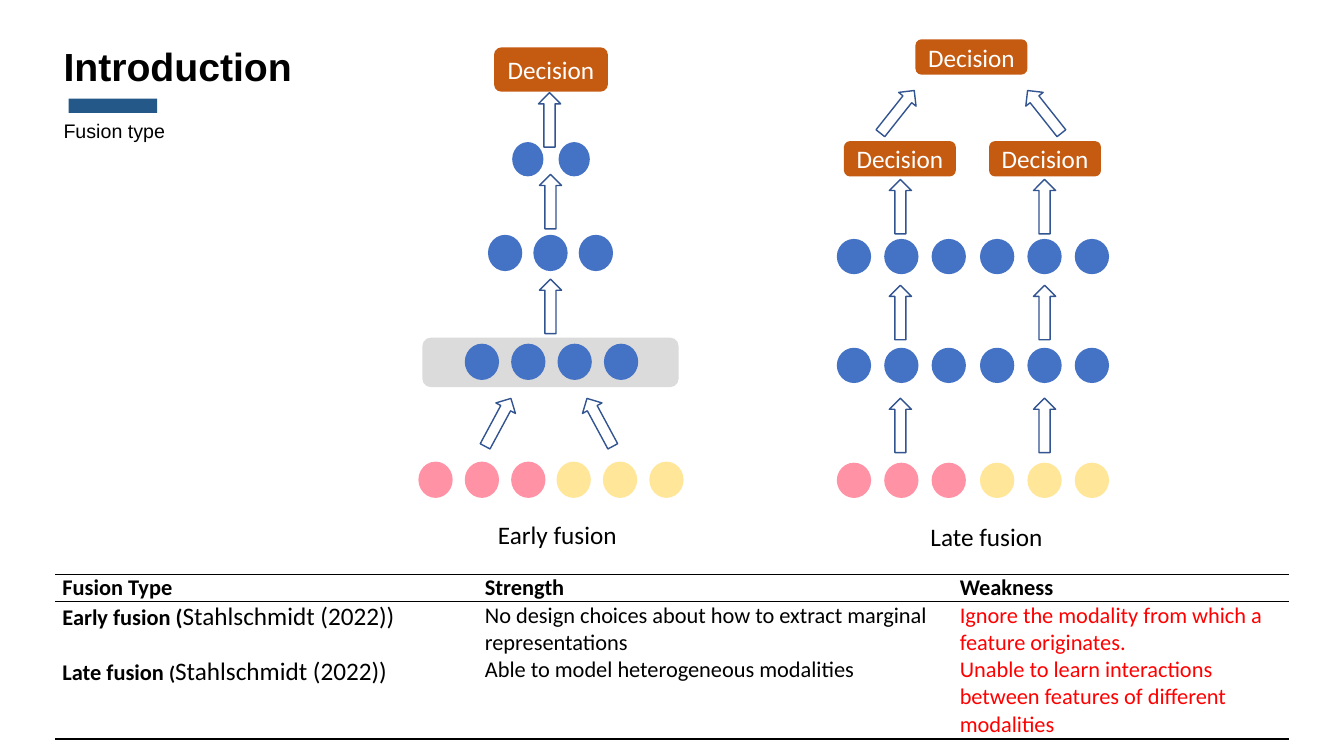
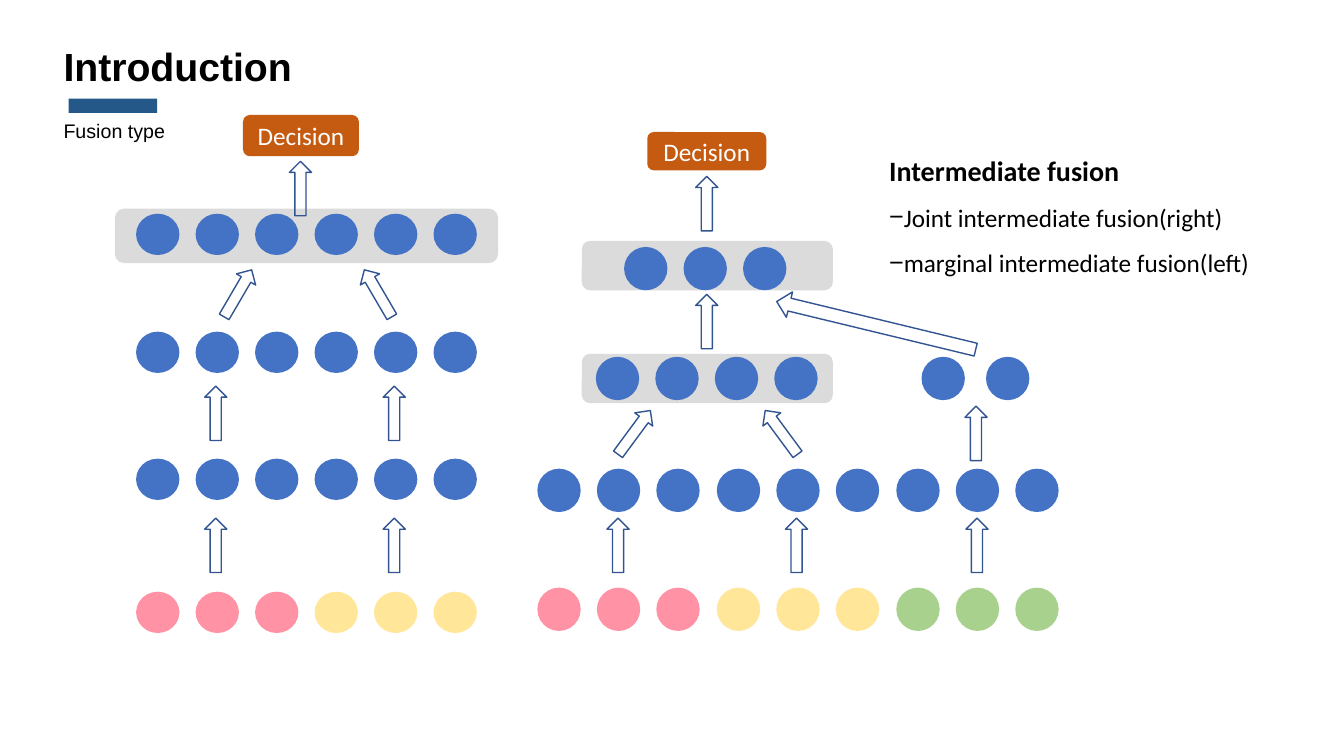
from dataclasses import dataclass

from lxml.etree import SubElement
from pptx import Presentation
from pptx.dml.color import RGBColor
from pptx.enum.shapes import MSO_SHAPE
from pptx.enum.text import MSO_ANCHOR, MSO_AUTO_SIZE, PP_ALIGN
from pptx.oxml.ns import qn
from pptx.util import Inches, Pt

ACCENT = "235889"
BAND = "DBDBDB"
DECISION = "C55A11"
OUTLINE = "325491"
BLACK = "000000"
WHITE = "FFFFFF"
RED = "FF0000"
NODE = "4472C4"
PINK = "FF93A5"
YELLOW = "FFE699"
GREEN = "A9D18E"
HEADING_FONT = "Arial"
BODY_FONT = "Calibri"
UP = 270


@dataclass(frozen=True)
class Box:
    left: float
    top: float
    width: float
    height: float


@dataclass(frozen=True)
class Dots:
    left: float
    top: float
    count: int
    pitch: float
    width: float
    height: float
    color: str = NODE


@dataclass(frozen=True)
class Arrow:
    center_x: float
    center_y: float
    angle: float = UP
    length: float = 0.54
    thickness: float = 0.22


@dataclass(frozen=True)
class Diagram:
    bands: list[Box]
    dots: list[Dots]
    decisions: list[Box]
    arrows: list[Arrow]


@dataclass(frozen=True)
class Text:
    text: str
    size: float = 16
    bold: bool = False
    color: str = BLACK


def triples(lefts, top, pitch, width, height, colors=None) -> list[Dots]:
    colors = colors or [NODE] * len(lefts)
    return [Dots(left, top, 3, pitch, width, height, color)
            for left, color in zip(lefts, colors)]


def rgb(color: str) -> RGBColor:
    return RGBColor.from_string(color)


def position(box: Box) -> tuple:
    return tuple(Inches(value) for value in (box.left, box.top, box.width, box.height))


def style_font(font, size: float, color: str = BLACK, bold: bool = False,
               name: str = BODY_FONT) -> None:
    font.name = name
    font.size = Pt(size)
    font.bold = bold
    font.color.rgb = rgb(color)


def add_filled(slide, kind, box: Box, color: str):
    shape = slide.shapes.add_shape(kind, *position(box))
    shape.shadow.inherit = False
    shape.fill.solid()
    shape.fill.fore_color.rgb = rgb(color)
    shape.line.fill.background()
    return shape


def add_dots(slide, dots: Dots) -> None:
    for index in range(dots.count):
        left = dots.left + index * dots.pitch
        add_filled(slide, MSO_SHAPE.OVAL, Box(left, dots.top, dots.width, dots.height),
                   dots.color)


def add_decision(slide, box: Box) -> None:
    shape = add_filled(slide, MSO_SHAPE.ROUNDED_RECTANGLE, box, DECISION)
    frame = shape.text_frame
    frame.text = "Decision"
    frame.vertical_anchor = MSO_ANCHOR.MIDDLE
    paragraph = frame.paragraphs[0]
    paragraph.alignment = PP_ALIGN.CENTER
    style_font(paragraph.runs[0].font, 18, WHITE)


def add_arrow(slide, arrow: Arrow) -> None:
    box = Box(arrow.center_x - arrow.length / 2, arrow.center_y - arrow.thickness / 2,
              arrow.length, arrow.thickness)
    shape = slide.shapes.add_shape(MSO_SHAPE.RIGHT_ARROW, *position(box))
    shape.shadow.inherit = False
    shape.fill.background()
    shape.line.color.rgb = rgb(OUTLINE)
    shape.line.width = Pt(1)
    shape.rotation = arrow.angle


def add_diagram(slide, diagram: Diagram) -> None:
    for band in diagram.bands:
        add_filled(slide, MSO_SHAPE.ROUNDED_RECTANGLE, band, BAND)
    for dots in diagram.dots:
        add_dots(slide, dots)
    for box in diagram.decisions:
        add_decision(slide, box)
    for arrow in diagram.arrows:
        add_arrow(slide, arrow)


def fill_placeholder(shape, box: Box, text: str, size: float, bold: bool) -> None:
    shape.left, shape.top, shape.width, shape.height = position(box)
    frame = shape.text_frame
    frame.text = text
    frame.auto_size = MSO_AUTO_SIZE.NONE
    frame.vertical_anchor = MSO_ANCHOR.MIDDLE
    paragraph = frame.paragraphs[0]
    paragraph.alignment = PP_ALIGN.LEFT
    paragraph.line_spacing = 0.9
    paragraph.space_before = Pt(0)
    properties = paragraph._p.get_or_add_pPr()
    properties.set("marL", "0")
    properties.set("indent", "0")
    SubElement(properties, qn("a:buNone"))
    style_font(paragraph.runs[0].font, size, bold=bold, name=HEADING_FONT)


def add_titled_slide(presentation, title: str, subtitle: str):
    slide = presentation.slides.add_slide(presentation.slide_layouts[1])
    fill_placeholder(slide.shapes.title, Box(0.53, 0.45, 4.42, 0.46), title, 28, True)
    fill_placeholder(slide.placeholders[1], Box(0.53, 1.18, 1.92, 0.26), subtitle, 14, False)
    add_filled(slide, MSO_SHAPE.RECTANGLE, Box(0.68, 0.98, 0.88, 0.14), ACCENT)
    return slide


def add_text(slide, box: Box, lines: list[Text]):
    frame = slide.shapes.add_textbox(*position(box)).text_frame
    frame.word_wrap = True
    for index, line in enumerate(lines):
        paragraph = frame.add_paragraph() if index else frame.paragraphs[0]
        paragraph.text = line.text
        style_font(paragraph.runs[0].font, line.size, line.color, line.bold)
    return frame


def add_dashed_list(slide, box: Box, heading: str, items: list[str]) -> None:
    frame = add_text(slide, box, [Text(heading, 20, True)] + [Text(item, 18) for item in items])
    for paragraph in frame.paragraphs[1:]:
        paragraph.line_spacing = 1.5
        properties = paragraph._p.get_or_add_pPr()
        properties.set("marL", "0")
        properties.set("indent", str(-Inches(0.31)))
        SubElement(properties, qn("a:buFont"), typeface=HEADING_FONT)
        SubElement(properties, qn("a:buChar"), char="−")


def set_borders(cell, top: float, bottom: float) -> None:
    properties = cell._tc.get_or_add_tcPr()
    edges = {"a:lnL": 0, "a:lnR": 0, "a:lnT": top, "a:lnB": bottom}
    for index, (tag, width) in enumerate(edges.items()):
        line = SubElement(properties, qn(tag), w=str(Pt(width)))
        if width:
            SubElement(SubElement(line, qn("a:solidFill")), qn("a:srgbClr"), val=BLACK)
        else:
            SubElement(line, qn("a:noFill"))
        properties.insert(index, line)


def add_ruled_table(slide, box: Box, widths: list[float], heights: list[float],
                    rules: list[float], rows: list[list[list[Text]]]) -> None:
    table = slide.shapes.add_table(len(rows), len(widths), *position(box)).table
    table.first_row = False
    table.horz_banding = False
    for column, width in zip(table.columns, widths):
        column.width = Inches(width)
    for row_index, row in enumerate(rows):
        table.rows[row_index].height = Inches(heights[row_index])
        for column_index, pieces in enumerate(row):
            cell = table.cell(row_index, column_index)
            cell.margin_left = cell.margin_right = Inches(0.07)
            cell.margin_top = cell.margin_bottom = 0
            cell.fill.background()
            set_borders(cell, rules[row_index], rules[row_index + 1])
            for piece in pieces:
                run = cell.text_frame.paragraphs[0].add_run()
                run.text = piece.text
                style_font(run.font, piece.size, piece.color, piece.bold)


def build_early_and_late(presentation) -> None:
    slide = add_titled_slide(presentation, "Introduction", "Fusion type")
    early_dot = (0.46, 0.34, 0.36)
    add_diagram(slide, Diagram(
        bands=[Box(4.19, 3.35, 2.54, 0.49)],
        dots=triples((4.15, 5.52), 4.58, *early_dot, (PINK, YELLOW))
        + [Dots(4.61, 3.41, 4, *early_dot),
           Dots(4.84, 2.33, 3, 0.45, 0.34, 0.36),
           Dots(5.08, 1.41, 2, 0.46, 0.31, 0.34)],
        decisions=[Box(4.9, 0.47, 1.13, 0.44)],
        arrows=[Arrow(4.94, 4.19, 298.3), Arrow(5.95, 4.19, 241.7),
                Arrow(5.46, 3.04), Arrow(5.46, 2.0), Arrow(5.45, 1.19)]))

    late_lefts = (8.3, 9.72)
    late_dot = (0.47, 0.34, 0.35)
    add_diagram(slide, Diagram(
        bands=[],
        dots=triples(late_lefts, 4.59, *late_dot, (PINK, YELLOW))
        + triples(late_lefts, 3.45, *late_dot)
        + triples(late_lefts, 2.37, *late_dot),
        decisions=[Box(left, top, 1.11, 0.35)
                   for left, top in ((8.37, 1.4), (9.81, 1.4), (9.08, 0.39))],
        arrows=[Arrow(x, y) for x in (8.93, 10.36) for y in (4.22, 3.1, 2.05)]
        + [Arrow(8.9, 1.11, 308.4), Arrow(10.36, 1.11, 231.6)]))

    add_text(slide, Box(4.84, 5.1, 1.89, 0.4), [Text("Early fusion", 18)])
    add_text(slide, Box(9.13, 5.12, 1.89, 0.4), [Text("Late fusion", 18)])
    citation = Text("Stahlschmidt (2022))", 18)
    add_ruled_table(
        slide, Box(0.55, 5.7, 12.24, 1.63), [4.19, 4.71, 3.34], [0.27, 0.54, 0.82],
        [1.5, 1, 0, 1.5],
        [[[Text(name, bold=True)] for name in ("Fusion Type", "Strength", "Weakness")],
         [[Text("Early fusion (", bold=True), citation],
          [Text("No design choices about how to extract marginal representations")],
          [Text("Ignore the modality from which a feature originates.", color=RED)]],
         [[Text("Late fusion ", bold=True), Text("(", 14, True), citation],
          [Text("Able to model heterogeneous modalities")],
          [Text("Unable to learn interactions between features of different modalities",
                color=RED)]]])


def build_intermediate(presentation) -> None:
    slide = add_titled_slide(presentation, "Introduction", "Fusion type")
    marginal_lefts = (1.35, 3.12)
    marginal_dot = (0.59, 0.43, 0.41)
    add_diagram(slide, Diagram(
        bands=[Box(1.14, 2.07, 3.8, 0.54)],
        dots=triples(marginal_lefts, 5.87, *marginal_dot, (PINK, YELLOW))
        + [dots for top in (4.55, 3.29, 2.12)
           for dots in triples(marginal_lefts, top, *marginal_dot)],
        decisions=[Box(2.41, 1.14, 1.15, 0.41)],
        arrows=[Arrow(x, y) for x in (2.14, 3.91) for y in (5.41, 4.1)]
        + [Arrow(2.36, 2.91, 300.3), Arrow(3.75, 2.91, 239.7), Arrow(2.98, 1.87)]))

    joint_lefts = (5.33, 7.11, 8.89)
    joint_dot = (0.59, 0.43, 0.43)
    add_diagram(slide, Diagram(
        bands=[Box(5.77, top, 2.49, 0.49) for top in (3.51, 2.39)],
        dots=triples(joint_lefts, 5.83, *joint_dot, (PINK, YELLOW, GREEN))
        + triples(joint_lefts, 4.65, *joint_dot)
        + [Dots(5.91, 3.54, 4, *joint_dot),
           Dots(9.14, 3.54, 2, 0.64, 0.43, 0.43),
           Dots(6.19, 2.45, 3, *joint_dot)],
        decisions=[Box(6.42, 1.31, 1.18, 0.38)],
        arrows=[Arrow(x, 5.41) for x in (6.13, 7.9, 9.69)]
        + [Arrow(6.29, 4.29, 306.4), Arrow(7.75, 4.29, 233.6), Arrow(9.68, 4.3),
           Arrow(7.01, 3.19), Arrow(7.01, 2.02), Arrow(8.69, 3.23, 193.6, 2.03, 0.26)]))

    add_dashed_list(slide, Box(8.72, 1.47, 4.4, 1.3), "Intermediate fusion",
                    ["Joint intermediate fusion(right)", "marginal intermediate fusion(left)"])


def main() -> None:
    presentation = Presentation()
    presentation.slide_width = Inches(13.33)
    presentation.slide_height = Inches(7.5)
    build_early_and_late(presentation)
    build_intermediate(presentation)
    presentation.save("out.pptx")


if __name__ == "__main__":
    main()
